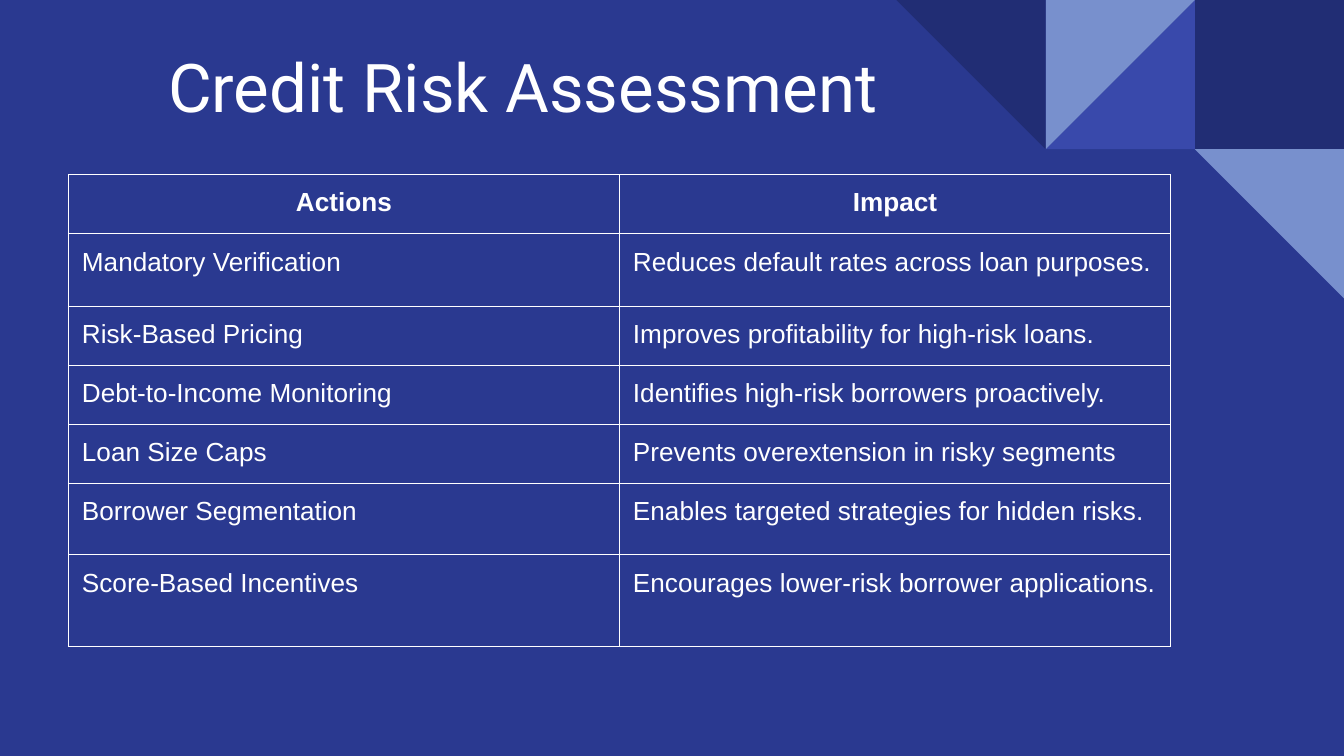
"""Build the credit risk assessment slide with its table of actions and impacts."""
import pptx
import pptx.dml.color
import pptx.enum.shapes
import pptx.enum.text
import pptx.oxml
import pptx.oxml.ns
import pptx.util

Inches = pptx.util.Inches
RGB = pptx.dml.color.RGBColor.from_string
SHAPE = pptx.enum.shapes.MSO_SHAPE
ALIGN = pptx.enum.text.PP_ALIGN

THEME = {
    "background": RGB("2A3990"),
    "navy": RGB("212D74"),
    "indigo": RGB("3949AB"),
    "sky": RGB("7890CD"),
    "text": RGB("FFFFFF"),
    "title": pptx.util.Pt(36),
    "body": pptx.util.Pt(14),
    "border": pptx.util.Pt(0.75),
}
TITLE_FONT = {"name": "Roboto", "size": THEME["title"], "bold": False}
HEAD_FONT = {"name": "Arial", "size": THEME["body"], "bold": True}
BODY_FONT = {**HEAD_FONT, "bold": False}
MARGINS = {f"margin_{side}": Inches(0.1) for side in ("left", "top", "right", "bottom")}


def set_attrs(target, values):
    for name, value in values.items():
        setattr(target, name, value)


def write(tf, text, align, font):
    p = tf.paragraphs[0]
    p.alignment = align
    r = p.add_run()
    r.text = text
    set_attrs(r.font, font)
    r.font.color.rgb = THEME["text"]


prs = pptx.Presentation()
prs.slide_width = Inches(10)
prs.slide_height = Inches(10 * 9 / 16)
s = prs.slides.add_slide(prs.slide_layouts[5])
s.background.fill.solid()
s.background.fill.fore_color.rgb = THEME["background"]

TILE = 1.11
TILES = [
    (1, 0, SHAPE.RECTANGLE, 0, "navy"),
    (2, 0, SHAPE.RIGHT_TRIANGLE, 270, "indigo"),
    (2, 0, SHAPE.RIGHT_TRIANGLE, 90, "sky"),
    (3, 0, SHAPE.RIGHT_TRIANGLE, 180, "navy"),
    (1, 1, SHAPE.RIGHT_TRIANGLE, 180, "sky"),
]
for from_right, row, kind, rotation, color in TILES:
    sp = s.shapes.add_shape(kind, Inches(10 - from_right * TILE), Inches(row * TILE),
                            Inches(TILE), Inches(TILE))
    sp.rotation = rotation
    sp.shadow.inherit = False
    sp.fill.solid()
    sp.fill.fore_color.rgb = THEME[color]
    sp.line.fill.background()

title = s.shapes.title
set_attrs(title, {"left": Inches(0.46), "top": Inches(0.24),
                  "width": Inches(6.86), "height": Inches(0.66)})
set_attrs(title.text_frame, {
    **MARGINS,
    "word_wrap": True,
    "auto_size": pptx.enum.text.MSO_AUTO_SIZE.NONE,
    "vertical_anchor": pptx.enum.text.MSO_ANCHOR.TOP,
})
write(title.text_frame, "Credit Risk Assessment", ALIGN.CENTER, TITLE_FONT)

ROWS = [
    (0.44, "Actions", "Impact"),
    (0.54, "Mandatory Verification", "Reduces default rates across loan purposes."),
    (0.44, "Risk-Based Pricing", "Improves profitability for high-risk loans."),
    (0.44, "Debt-to-Income Monitoring", "Identifies high-risk borrowers proactively."),
    (0.44, "Loan Size Caps", "Prevents overextension in risky segments"),
    (0.53, "Borrower Segmentation", "Enables targeted strategies for hidden risks."),
    (0.68, "Score-Based Incentives", "Encourages lower-risk borrower applications."),
]
COLUMN = 4.1
table = s.shapes.add_table(len(ROWS), 2, Inches(0.51), Inches(1.3), Inches(2 * COLUMN),
                           Inches(sum(row[0] for row in ROWS))).table
set_attrs(table, {"first_row": False, "horz_banding": False})
for column in table.columns:
    column.width = Inches(COLUMN)

for i, (height, *texts) in enumerate(ROWS):
    table.rows[i].height = Inches(height)
    align, font = (ALIGN.LEFT, BODY_FONT) if i else (ALIGN.CENTER, HEAD_FONT)
    for j, text in enumerate(texts):
        cell = table.cell(i, j)
        set_attrs(cell, MARGINS)
        write(cell.text_frame, text, align, font)
        cell.fill.background()
        tcPr = cell._tc.get_or_add_tcPr()
        for k, edge in enumerate(("lnL", "lnR", "lnT", "lnB")):
            tcPr.insert(k, pptx.oxml.parse_xml(
                f'<a:{edge} {pptx.oxml.ns.nsdecls("a")} w="{THEME["border"]}"><a:solidFill>'
                f'<a:srgbClr val="{THEME["text"]}"/></a:solidFill></a:{edge}>'))

prs.save("out.pptx")
